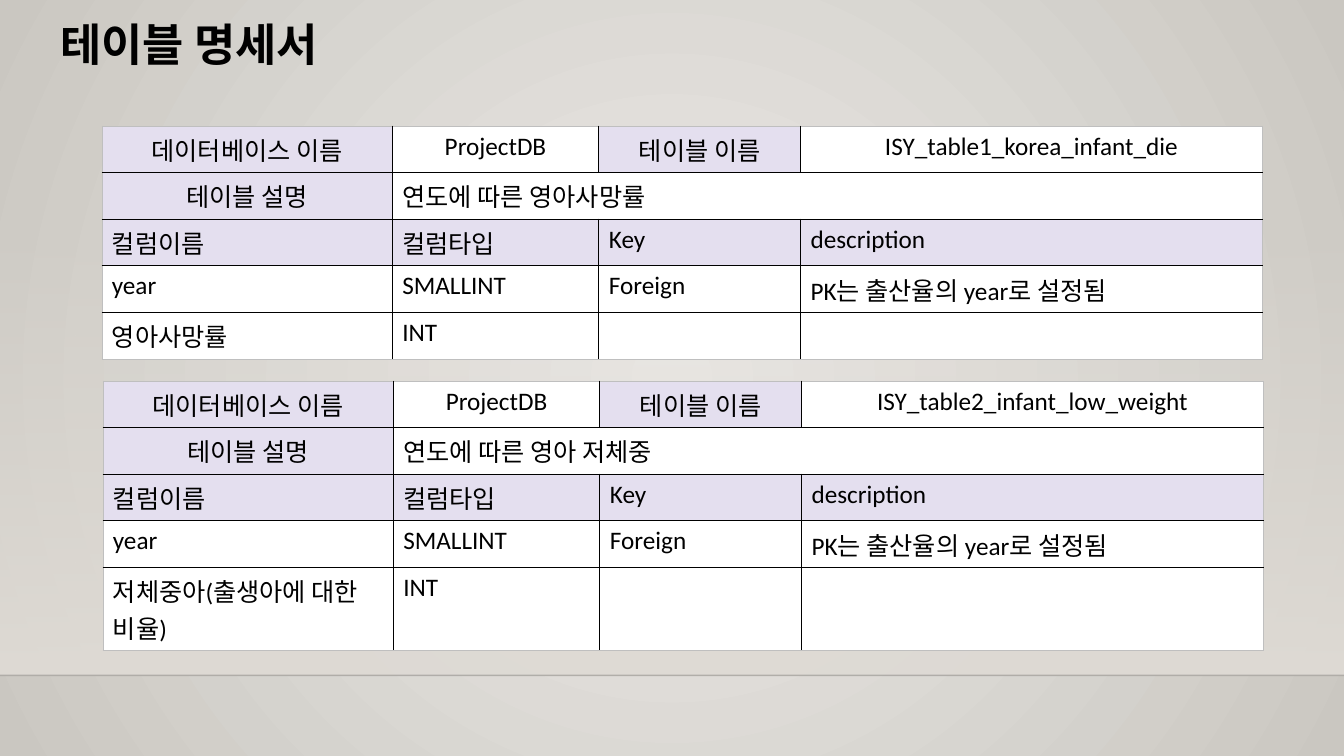
from lxml.etree import SubElement, fromstring
from pptx import Presentation
from pptx.dml.color import RGBColor
from pptx.enum.shapes import MSO_CONNECTOR, MSO_SHAPE
from pptx.enum.text import MSO_ANCHOR, PP_ALIGN
from pptx.oxml.ns import nsdecls, qn
from pptx.util import Inches, Pt

HEX = {"black": "000000", "white": "FFFFFF", "lilac": "E4DFEF", "edge": "BFBFBF",
       "glow": "ECEAE7", "rim": "CAC7C1", "floor": "DFDBD5"}
TITLE = "테이블 명세서"
HEADS = ["컬럼이름", "컬럼타입", "Key", "description"]
YEAR = ["year", "SMALLINT", "Foreign", "PK는 출산율의 year로 설정됨"]
SPECS = [
    {"at": (1.01, 1.25), "name": "ISY_table1_korea_infant_die",
     "about": "연도에 따른 영아사망률", "field": "영아사망률"},
    {"at": (1.02, 3.78), "name": "ISY_table2_infant_low_weight",
     "about": "연도에 따른 영아 저체중", "field": "저체중아(출생아에 대한 비율)"},
]
COLS = [2.88, 2.05, 2, 4.58]
ROW = 0.46
TINTED = {(0, 0), (0, 2), (1, 0)} | {(2, c) for c in range(4)}
CENTRED = {(0, c) for c in range(4)} | {(1, 0)}


def write(frame, text, size=18, bold=False, align=PP_ALIGN.LEFT, gap=1.0):
    para = frame.paragraphs[0]
    para.text = text
    para.alignment = align
    para.line_spacing = gap
    font = para.font
    font.name, font.size, font.bold = "Calibri", Pt(size), bold
    font.color.rgb = RGBColor.from_string(HEX["black"])


def blend(first, last, alpha, shape):
    """Gradient fill element between two named colours."""
    return fromstring(
        f'<a:gradFill rotWithShape="1" {nsdecls("a")}><a:gsLst>'
        f'<a:gs pos="0"><a:srgbClr val="{HEX[first]}"><a:alpha val="{alpha}"/></a:srgbClr></a:gs>'
        f'<a:gs pos="100000"><a:srgbClr val="{HEX[last]}"/></a:gs>'
        f'</a:gsLst>{shape}</a:gradFill>')


def refill(fill, grad):
    """Swap a gradient fill's default XML for the given element."""
    fill.gradient()
    old = fill._xPr.find(qn("a:gradFill"))
    fill._xPr.replace(old, grad)


def border(cell, row, col, last, right):
    props = cell._tc.get_or_add_tcPr()
    sides = [("L", col == 0), ("R", right == 3), ("T", row == 0), ("B", row == last)]
    for spot, (side, outer) in enumerate(sides):
        line = fromstring(
            f'<a:ln{side} w="{6350 if outer else 12700}" {nsdecls("a")}><a:solidFill>'
            f'<a:srgbClr val="{HEX["edge" if outer else "black"]}"/>'
            f'</a:solidFill></a:ln{side}>')
        props.insert(spot, line)


def add_spec(slide, spec):
    rows = [["데이터베이스 이름", "ProjectDB", "테이블 이름", spec["name"]],
            ["테이블 설명", spec["about"], "", ""],
            HEADS, YEAR, [spec["field"], "INT", "", ""]]
    left, top = spec["at"]
    table = slide.shapes.add_table(
        len(rows), len(COLS), Inches(left), Inches(top),
        Inches(sum(COLS)), Inches(ROW * len(rows))).table
    for col, width in zip(table.columns, COLS):
        col.width = Inches(width)
    table.cell(1, 1).merge(table.cell(1, 3))
    for r, row in enumerate(rows):
        for c, text in enumerate(row):
            cell = table.cell(r, c)
            cell.fill.solid()
            tint = "lilac" if (r, c) in TINTED else "white"
            cell.fill.fore_color.rgb = RGBColor.from_string(HEX[tint])
            border(cell, r, c, len(rows) - 1, c + cell.span_width - 1 if cell.is_merge_origin else c)
            if not cell.is_spanned:
                align = PP_ALIGN.CENTER if (r, c) in CENTRED else PP_ALIGN.LEFT
                write(cell.text_frame, text, align=align)


def add_floor(slide, wide):
    refill(slide.background.fill, blend(
        "glow", "rim", 100000,
        '<a:path path="circle"><a:fillToRect l="50000" t="50000" r="50000" b="50000"/></a:path>'))
    wall = slide.shapes.add_shape(MSO_SHAPE.RECTANGLE, 0, Inches(2.21), wide, Inches(4.49))
    wall.shadow.inherit = False
    wall.line.fill.background()
    refill(wall.fill, blend("floor", "floor", 0, '<a:lin ang="5400000" scaled="0"/>'))
    line = slide.shapes.add_connector(MSO_CONNECTOR.STRAIGHT, 0, Inches(6.7), wide, Inches(6.7))
    line.line.width = Pt(1)
    line.line.color.rgb = RGBColor.from_string(HEX["black"])
    props = line._element.spPr
    tone = props.find(".//" + qn("a:srgbClr"))
    SubElement(tone, qn("a:alpha")).set("val", "20000")
    SubElement(props, qn("a:effectLst"))


def main():
    deck = Presentation()
    deck.slide_width, deck.slide_height = Inches(13.33), Inches(7.5)
    slide = deck.slides.add_slide(deck.slide_layouts[5])
    add_floor(slide, deck.slide_width)
    title = slide.shapes.title
    title.left, title.top = Inches(0.5), Inches(0.23)
    title.width, title.height = Inches(3.48), Inches(0.72)
    title.text_frame.vertical_anchor = MSO_ANCHOR.TOP
    title.text_frame.margin_top = 0
    write(title.text_frame, TITLE, size=32, bold=True, gap=0.9)
    for spec in SPECS:
        add_spec(slide, spec)
    deck.save("out.pptx")


if __name__ == "__main__":
    main()
